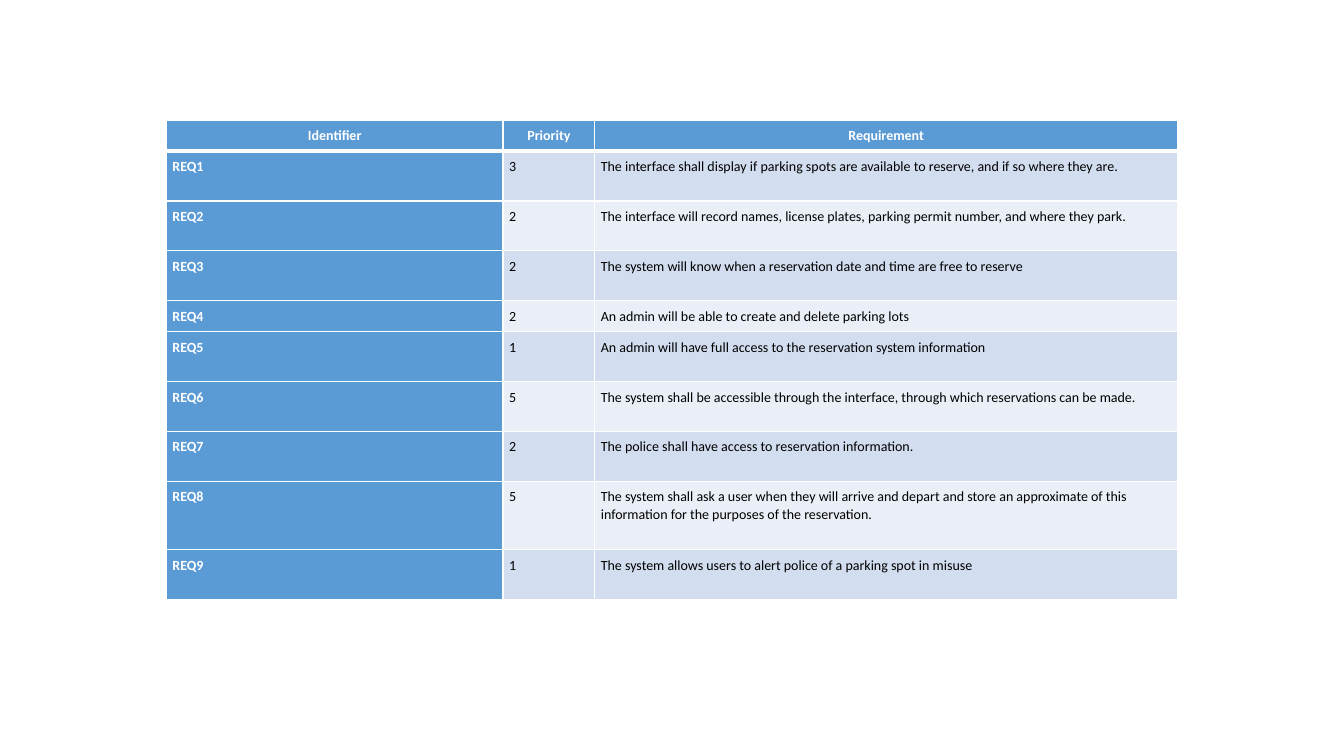
import dataclasses

import pptx
import pptx.dml.color
import pptx.enum.text
import pptx.oxml
import pptx.oxml.ns
import pptx.table
import pptx.util

PAGE_WIDTH = pptx.util.Inches(13.33)
PAGE_HEIGHT = pptx.util.Inches(7.5)

BLUE = pptx.dml.color.RGBColor(0x5B, 0x9B, 0xD5)
DARK_BAND = pptx.dml.color.RGBColor(0xD2, 0xDE, 0xEF)
LIGHT_BAND = pptx.dml.color.RGBColor(0xEA, 0xEF, 0xF7)
WHITE = pptx.dml.color.RGBColor(0xFF, 0xFF, 0xFF)
BLACK = pptx.dml.color.RGBColor(0x00, 0x00, 0x00)

# Table position and columns as percentages of the page
LEFT_SHARE, TOP_SHARE = 12.38, 15.87
COLUMN_SHARES = (25.05, 6.83, 43.35)

# A row is its lines of text plus padding, in points
LINE_HEIGHT = 13.3
ROW_PADDING = 9
THIN, THICK = 1, 3

CELL_FORMAT = {
    "margin_left": pptx.util.Inches(0.06),
    "margin_right": pptx.util.Inches(0.06),
    "margin_top": pptx.util.Inches(0.06),
    "margin_bottom": pptx.util.Inches(0.06),
    "vertical_anchor": pptx.enum.text.MSO_ANCHOR.TOP,
}


@dataclasses.dataclass(frozen=True)
class Requirement:
    priority: int
    wording: str
    lines: int = 2


HEADINGS = ("Identifier", "Priority", "Requirement")
REQUIREMENTS = (
    Requirement(3, "The interface shall display if parking spots are available to reserve, "
                   "and if so where they are."),
    Requirement(2, "The interface will record names, license plates, parking permit number, "
                   "and where they park."),
    Requirement(2, "The system will know when a reservation date and time are free to reserve"),
    Requirement(2, "An admin will be able to create and delete parking lots", lines=1),
    Requirement(1, "An admin will have full access to the reservation system information"),
    Requirement(5, "The system shall be accessible through the interface, "
                   "through which reservations can be made."),
    Requirement(2, "The police shall have access to reservation information."),
    Requirement(5, "The system shall ask a user when they will arrive and depart and store "
                   "an approximate of this information for the purposes of the reservation.",
                lines=3),
    Requirement(1, "The system allows users to alert police of a parking spot in misuse"),
)


def share(percent: float, length: int) -> pptx.util.Emu:
    return pptx.util.Emu(round(length * percent / 100))


def row_height(lines: int) -> pptx.util.Emu:
    return pptx.util.Pt(ROW_PADDING + LINE_HEIGHT * lines)


def set_borders(cell: pptx.table._Cell, top: int, bottom: int) -> None:
    properties = cell._tc.get_or_add_tcPr()
    widths = {"lnL": THIN, "lnR": THIN, "lnT": top, "lnB": bottom}
    for position, (side, width) in enumerate(widths.items()):
        border = pptx.oxml.parse_xml(
            f'<a:{side} {pptx.oxml.ns.nsdecls("a")} w="{pptx.util.Pt(width)}">'
            f'<a:solidFill><a:srgbClr val="{WHITE}"/></a:solidFill></a:{side}>')
        properties.insert(position, border)


def fill_cell(cell: pptx.table._Cell, text: str, row: int, column: int) -> None:
    is_heading = row == 0
    is_blue = is_heading or column == 0

    for name, value in CELL_FORMAT.items():
        setattr(cell, name, value)
    cell.fill.solid()
    cell.fill.fore_color.rgb = BLUE if is_blue else DARK_BAND if row % 2 else LIGHT_BAND
    set_borders(cell, top=THICK if row == 1 else THIN, bottom=THICK if is_heading else THIN)

    para = cell.text_frame.paragraphs[0]
    para.line_spacing = 1.07
    alignments = pptx.enum.text.PP_ALIGN
    para.alignment = alignments.CENTER if is_heading else alignments.LEFT
    span = para.add_run()
    span.text = text
    font_format = {"name": "Calibri", "size": pptx.util.Pt(10), "bold": is_blue}
    for name, value in font_format.items():
        setattr(span.font, name, value)
    span.font.color.rgb = WHITE if is_blue else BLACK


def main() -> None:
    deck = pptx.Presentation()
    deck.slide_width, deck.slide_height = PAGE_WIDTH, PAGE_HEIGHT
    page = deck.slides.add_slide(deck.slide_layouts[6])

    # Rows of text, numbered in order
    rows = [HEADINGS] + [
        (f"REQ{number}", str(item.priority), item.wording)
        for number, item in enumerate(REQUIREMENTS, start=1)
    ]
    heights = [row_height(lines) for lines in (1, *(item.lines for item in REQUIREMENTS))]
    widths = [share(percent, PAGE_WIDTH) for percent in COLUMN_SHARES]

    # Requirements table
    table = page.shapes.add_table(
        len(rows), len(widths), share(LEFT_SHARE, PAGE_WIDTH),
        share(TOP_SHARE, PAGE_HEIGHT), sum(widths), sum(heights)).table
    table.first_col = True
    for column, width in zip(table.columns, widths):
        column.width = width
    for row, (texts, height) in enumerate(zip(rows, heights)):
        table.rows[row].height = height
        for column, text in enumerate(texts):
            fill_cell(table.cell(row, column), text, row, column)

    deck.save("out.pptx")


if __name__ == "__main__":
    main()
